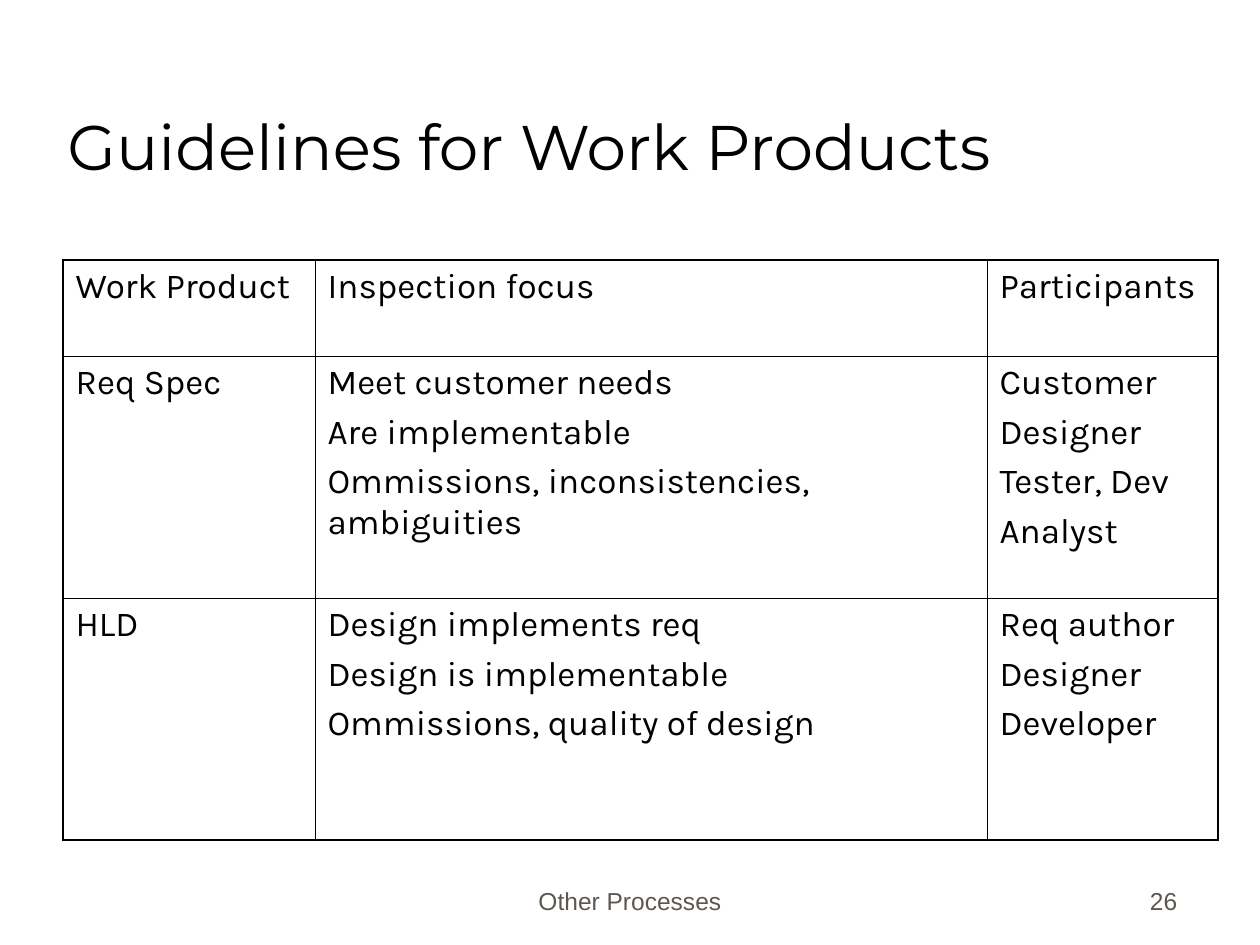
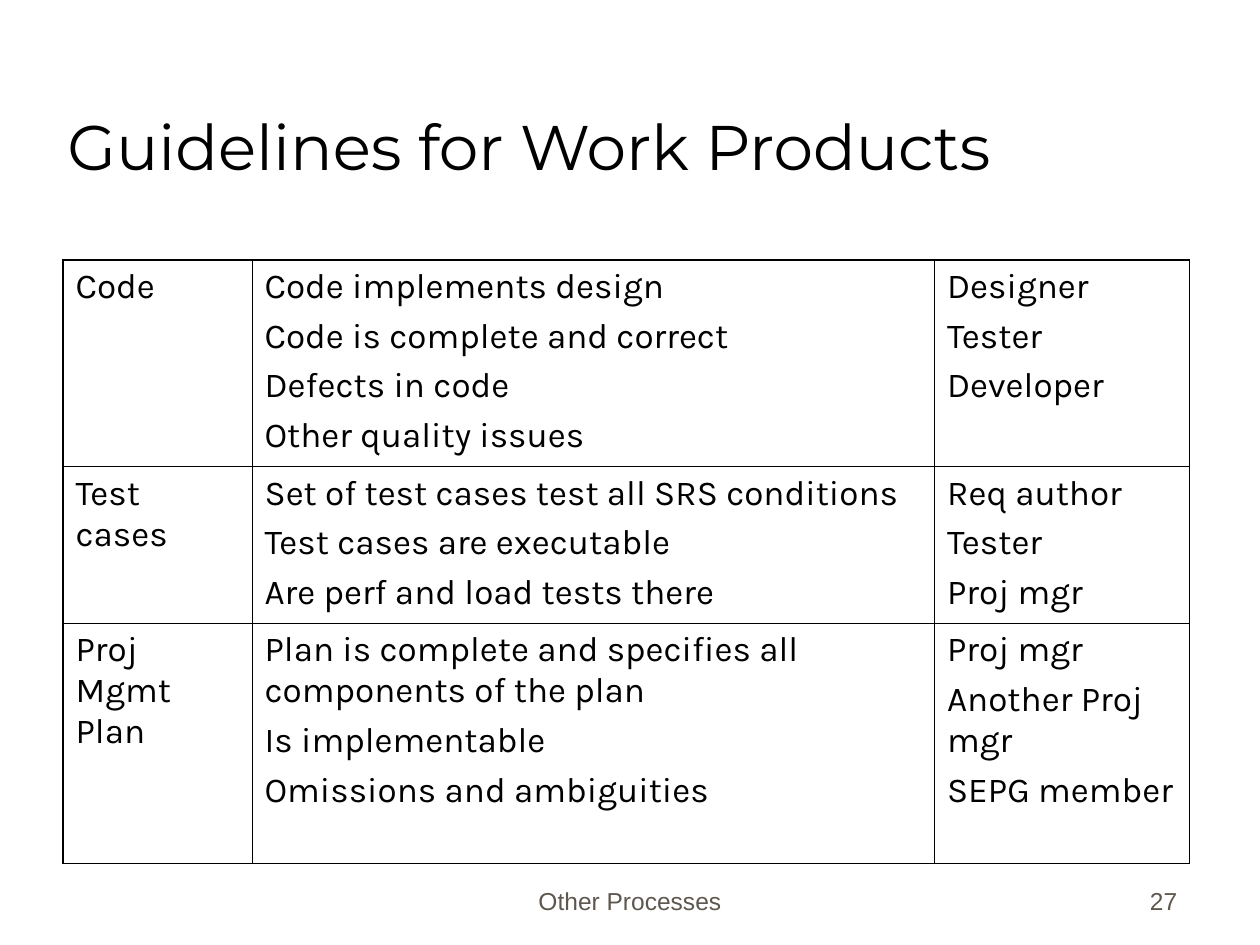
from lxml.etree import SubElement
from pptx import Presentation
from pptx.dml.color import RGBColor
from pptx.enum.text import MSO_ANCHOR, PP_ALIGN
from pptx.oxml.ns import qn
from pptx.util import Inches, Pt

COLORS = {"ink": "000000", "footer": "5E574E"}
FONTS = {"title": "Montserrat", "body": "Karla", "footer": "Arial"}
GRID_COLUMNS, GRID_ROWS = 120, 90
OUTER_RULE, INNER_RULE = Pt(1.08), Pt(0.45)

GUIDELINES = [
    {
        "number": "26",
        "columns": [24, 64, 22],
        "rows": [9.15, 23.05, 23.05],
        "entries": [
            [["Work Product"], ["Inspection focus"], ["Participants"]],
            [["Req Spec"],
             ["Meet customer needs", "Are implementable",
              "Ommissions, inconsistencies, ambiguities"],
             ["Customer", "Designer", "Tester, Dev", "Analyst"]],
            [["HLD"],
             ["Design implements req", "Design is implementable",
              "Ommissions, quality of design"],
             ["Req author", "Designer", "Developer"]],
        ],
    },
    {
        "number": "27",
        "columns": [18, 65, 24.3],
        "rows": [19.7, 14.9, 22.9],
        "entries": [
            [["Code"],
             ["Code implements design", "Code is complete and correct",
              "Defects in code", "Other quality issues"],
             ["Designer", "Tester", "Developer"]],
            [["Test cases"],
             ["Set of test cases test all SRS conditions",
              "Test cases are executable", "Are perf and load tests there"],
             ["Req author", "Tester", "Proj mgr"]],
            [["Proj Mgmt Plan"],
             ["Plan is complete and specifies all components of the plan",
              "Is implementable", "Omissions and ambiguities"],
             ["Proj mgr", "Another Proj mgr", "SEPG member"]],
        ],
    },
]


class Deck:
    def __init__(self):
        self.presentation = Presentation()
        self.presentation.slide_width = Inches(10)
        self.presentation.slide_height = Inches(7.5)
        self.slide = None

    def x(self, columns):
        return round(self.presentation.slide_width * columns / GRID_COLUMNS)

    def y(self, rows):
        return round(self.presentation.slide_height * rows / GRID_ROWS)

    def new_slide(self):
        blank = self.presentation.slide_layouts[6]
        self.slide = self.presentation.slides.add_slide(blank)

    def style(self, paragraph, font, size, color):
        for run in paragraph.runs:
            run.font.name = FONTS[font]
            run.font.size = Pt(size)
            run.font.color.rgb = RGBColor.from_string(COLORS[color])

    def text(self, wording, left, top, width, height, font, size, color,
             align=PP_ALIGN.LEFT):
        frame = self.slide.shapes.add_textbox(
            self.x(left), self.y(top), self.x(width), self.y(height)).text_frame
        frame.word_wrap = True
        frame.vertical_anchor = MSO_ANCHOR.BOTTOM
        frame.text = wording
        frame.paragraphs[0].alignment = align
        self.style(frame.paragraphs[0], font, size, color)

    def title(self, wording):
        self.text(wording, 5.25, 3, 102, 15, "title", 36, "ink")

    def footer(self, wording, number):
        self.text(wording, 41, 81.75, 38, 6, "footer", 14, "footer",
                  PP_ALIGN.CENTER)
        self.text(number, 88.3, 81.75, 25, 6, "footer", 14, "footer",
                  PP_ALIGN.RIGHT)

    def borders(self, cell, outer_sides):
        properties = cell._tc.get_or_add_tcPr()
        for side, is_outer in outer_sides.items():
            width = OUTER_RULE if is_outer else INNER_RULE
            line = SubElement(properties, qn(f"a:ln{side}"), w=str(width))
            fill = SubElement(line, qn("a:solidFill"))
            SubElement(fill, qn("a:srgbClr"), val=COLORS["ink"])

    def cell(self, cell, lines):
        cell.margin_left = cell.margin_right = Inches(0.1)
        cell.margin_top = cell.margin_bottom = Inches(0.05)
        cell.text_frame.text = "\n".join(lines)
        for position, paragraph in enumerate(cell.text_frame.paragraphs):
            paragraph.space_before = Pt(5 if position else 0)
            self.style(paragraph, "body", 20, "ink")

    def table(self, entries, columns, rows, left=6, top=24.75):
        table = self.slide.shapes.add_table(
            len(rows), len(columns), self.x(left), self.y(top),
            self.x(sum(columns)), self.y(sum(rows))).table
        table.first_row = table.horz_banding = False
        for column, width in zip(table.columns, columns):
            column.width = self.x(width)
        for row, height in zip(table.rows, rows):
            row.height = self.y(height)
        for r, entry in enumerate(entries):
            for c, lines in enumerate(entry):
                cell = table.cell(r, c)
                self.cell(cell, lines)
                self.borders(cell, {"L": c == 0, "R": c == len(columns) - 1,
                                    "T": r == 0, "B": r == len(rows) - 1})
                cell.fill.background()


def main():
    deck = Deck()
    for guideline in GUIDELINES:
        deck.new_slide()
        deck.footer("Other Processes", guideline["number"])
        deck.title("Guidelines for Work Products")
        deck.table(guideline["entries"], guideline["columns"], guideline["rows"])
    deck.presentation.save("out.pptx")


if __name__ == "__main__":
    main()
